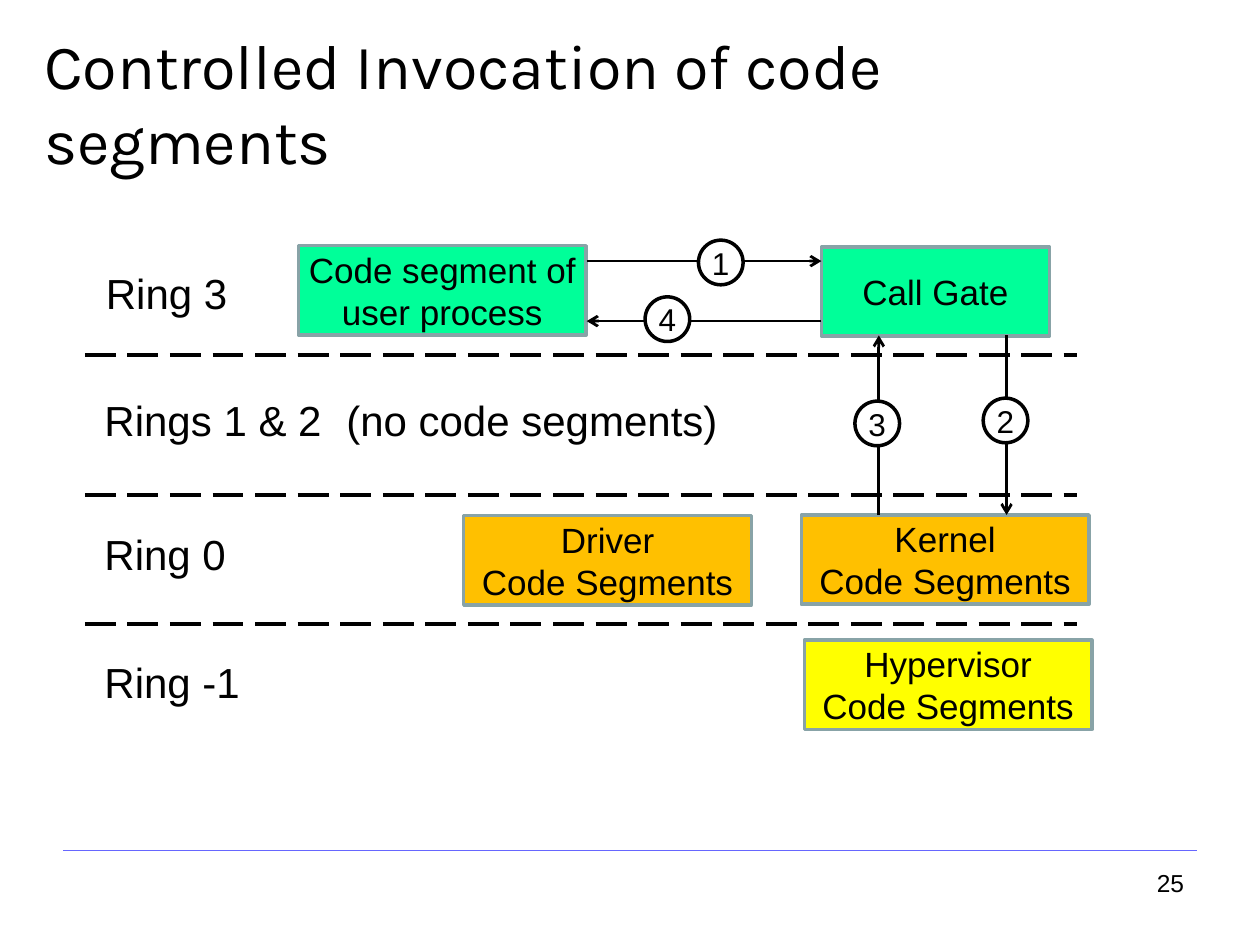
import pptx
import pptx.util
import pptx.dml.color
import pptx.enum.dml
import pptx.enum.shapes
import pptx.enum.text
import pptx.oxml

Pt = pptx.util.Pt
SHAPES = pptx.enum.shapes.MSO_SHAPE
ALIGN = pptx.enum.text.PP_ALIGN
ANCHOR = pptx.enum.text.MSO_ANCHOR
DASH = pptx.enum.dml.MSO_LINE
COLORS = {
    name: pptx.dml.color.RGBColor.from_string(code)
    for name, code in {
        "ink": "000000", "paper": "FFFFFF", "border": "88A3A7", "rule": "6666FF",
        "user": "00FF99", "kernel": "FFC000", "hypervisor": "FFFF00",
    }.items()
}
FRAME_FORMAT = {
    "margin_left": 0, "margin_right": 0, "margin_top": 0, "margin_bottom": 0,
    "word_wrap": True, "auto_size": pptx.enum.text.MSO_AUTO_SIZE.NONE,
}


def write(holder, text, size, align=ALIGN.LEFT, anchor=ANCHOR.MIDDLE, font="Arial"):
    frame = holder.text_frame
    for name, value in FRAME_FORMAT.items():
        setattr(frame, name, value)
    frame.vertical_anchor = anchor
    frame.text = text
    for paragraph in frame.paragraphs:
        paragraph.alignment = align
        for run in paragraph.runs:
            run.font.name, run.font.size = font, Pt(size)
            run.font.color.rgb = COLORS["ink"]


def draw_line(ends, color, width, dash=None, arrow=False):
    line = slide.shapes.add_connector(
        pptx.enum.shapes.MSO_CONNECTOR.STRAIGHT, *[Pt(value) for value in ends])
    line.line.color.rgb = COLORS[color]
    line.line.width = Pt(width)
    if dash:
        line.line.dash_style = dash
    if arrow:
        head = pptx.oxml.parse_xml(
            '<a:tailEnd xmlns:a="http://schemas.openxmlformats.org/drawingml/2006/main"'
            ' type="arrow" w="med" len="med"/>')
        line.line._get_or_add_ln().append(head)
    line._element.spPr.append(pptx.oxml.parse_xml(
        '<a:effectLst xmlns:a="http://schemas.openxmlformats.org/drawingml/2006/main"/>'))


deck = pptx.Presentation()
deck.slide_width, deck.slide_height = Pt(720), Pt(540)
slide = deck.slides.add_slide(deck.slide_layouts[5])

# Title
title = slide.shapes.title
title.left, title.top, title.width, title.height = Pt(25.2), Pt(15), Pt(640.8), Pt(90)
write(title, "Controlled Invocation of code segments", 36, anchor=ANCHOR.TOP, font="Karla")

# Footer rule and page number
draw_line((36, 486, 684, 486), "rule", 0.8)
page_number = slide.shapes.add_textbox(Pt(661), Pt(495), Pt(24), Pt(18.7))
write(page_number, "25", 14)

# Privilege rings and the dividers between them
rings = [
    ("Ring 3", 60.5, 152),
    ("Rings 1 & 2\t(no code segments)", 59.7, 224.5),
    ("Ring 0", 59.7, 300.8),
    ("Ring -1", 59.7, 373.8),
]
for ring, left, top in rings:
    ring_label = slide.shapes.add_textbox(Pt(left), Pt(top), Pt(370), Pt(31))
    write(ring_label, ring, 24)
    if "\t" in ring:
        ring_label.text_frame.paragraphs[0]._p.get_or_add_pPr().append(pptx.oxml.parse_xml(
            '<a:tabLst xmlns:a="http://schemas.openxmlformats.org/drawingml/2006/main">'
            f'<a:tab pos="{Pt(138.2)}" algn="l"/></a:tabLst>'))
for divider in (203, 283, 356.4):
    draw_line((48.5, divider, 615.5, divider), "ink", 2.2, dash=DASH.LONG_DASH)

# Code segments
segments = [
    ("Code segment of user process", "user", 170.6, 140.4, 164.4),
    ("Call Gate", "user", 469.4, 141.1, 130.3),
    ("Driver\nCode Segments", "kernel", 265, 294.7, 164.4),
    ("Kernel\nCode Segments", "kernel", 457.9, 294.3, 164.4),
    ("Hypervisor\nCode Segments", "hypervisor", 459.6, 365.8, 164.4),
]
for name, color, left, top, width in segments:
    segment = slide.shapes.add_shape(
        SHAPES.RECTANGLE, Pt(left), Pt(top), Pt(width), Pt(51))
    segment.shadow.inherit = False
    segment.fill.solid()
    segment.fill.fore_color.rgb = COLORS[color]
    segment.line.color.rgb = COLORS["border"]
    segment.line.width = Pt(2)
    write(segment, name, 20, ALIGN.CENTER)

# Numbered call steps: arrow ends, then centre of the number
steps = [
    ("1", (335.3, 149.2, 469.4, 149.2), (411.9, 150)),
    ("2", (575.2, 191.7, 575.2, 294.3), (574.6, 240.3)),
    ("3", (502.2, 294.3, 502.2, 191.7), (501.3, 242)),
    ("4", (469.4, 183.5, 335.3, 183.5), (381.4, 182.4)),
]
badge_size = 25.5
for number, ends, (x, y) in steps:
    draw_line(ends, "ink", 1.6, arrow=True)
    badge = slide.shapes.add_shape(
        SHAPES.OVAL, Pt(x - badge_size / 2), Pt(y - badge_size / 2),
        Pt(badge_size), Pt(badge_size))
    badge.shadow.inherit = False
    badge.fill.solid()
    badge.fill.fore_color.rgb = COLORS["paper"]
    badge.line.color.rgb = COLORS["ink"]
    badge.line.width = Pt(2)
    write(badge, number, 18, ALIGN.CENTER)

deck.save("out.pptx")
